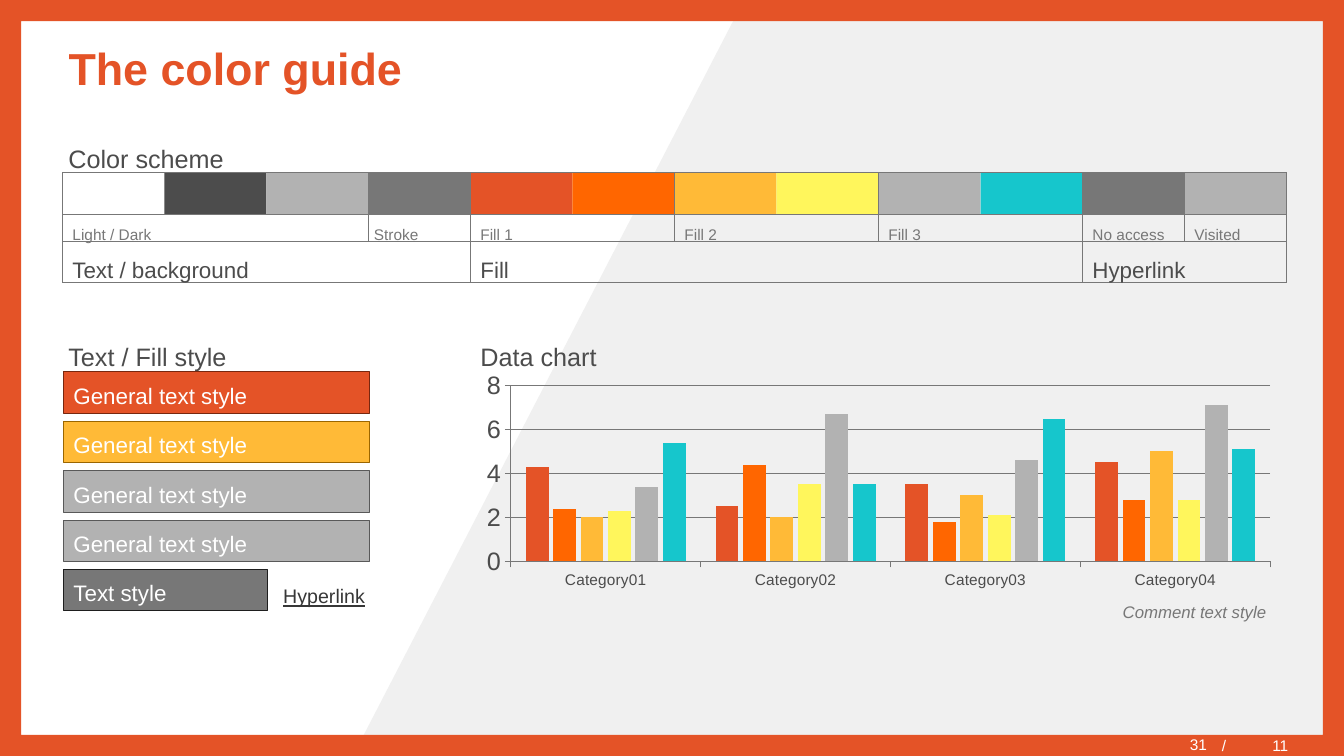
from dataclasses import dataclass

from lxml import etree
from pptx import Presentation
from pptx.chart.data import CategoryChartData
from pptx.dml.color import RGBColor
from pptx.enum.chart import XL_CHART_TYPE, XL_TICK_MARK
from pptx.enum.shapes import MSO_CONNECTOR, MSO_SHAPE
from pptx.enum.text import MSO_ANCHOR, MSO_AUTO_SIZE, PP_ALIGN
from pptx.oxml.ns import qn
from pptx.util import Inches, Pt

RECT, FRAME = MSO_SHAPE.RECTANGLE, MSO_SHAPE.FRAME
STRAIGHT = MSO_CONNECTOR.STRAIGHT
LEFT, RIGHT = PP_ALIGN.LEFT, PP_ALIGN.RIGHT
TOP, MIDDLE = MSO_ANCHOR.TOP, MSO_ANCHOR.MIDDLE
FIT_SHAPE = MSO_AUTO_SIZE.SHAPE_TO_FIT_TEXT
CLUSTERED = XL_CHART_TYPE.COLUMN_CLUSTERED
OUTSIDE = XL_TICK_MARK.OUTSIDE


@dataclass(frozen=True)
class Theme:
    font: str = "Arial"
    white: str = "FFFFFF"
    backdrop: str = "F0F0F0"
    dark: str = "4C4C4C"
    stroke: str = "777777"
    red: str = "E45327"
    orange: str = "FF6600"
    amber: str = "FFBA37"
    yellow: str = "FFF65C"
    grey: str = "B2B2B2"
    teal: str = "16C6CC"
    link: str = "373737"
    red_edge: str = "77270F"
    amber_edge: str = "9B6600"
    grey_edge: str = "595959"
    dark_edge: str = "1E1E1E"
    title: int = 32
    heading: int = 18
    body: int = 16
    link_size: int = 14
    comment: int = 12
    small: int = 11
    line: float = 0.75


theme = Theme()
WIDTH, HEIGHT = 13.33, 7.5


def paint(shape, fill, outline=None):
    shape.shadow.inherit = False
    shape.fill.solid()
    shape.fill.fore_color.rgb = RGBColor.from_string(fill)
    if outline:
        shape.line.color.rgb = RGBColor.from_string(outline)
        shape.line.width = Pt(theme.line)
    else:
        shape.line.fill.background()


def write(shape, text, size, color, align=LEFT, anchor=TOP, spacing=1.2):
    frame = shape.text_frame
    frame.text = text
    frame.vertical_anchor = anchor
    paragraph = frame.paragraphs[0]
    paragraph.alignment = align
    paragraph.line_spacing = spacing
    paragraph.font.name = theme.font
    paragraph.font.size = Pt(size)
    paragraph.font.color.rgb = RGBColor.from_string(color)
    return paragraph


prs = Presentation()
prs.slide_width, prs.slide_height = Inches(WIDTH), Inches(HEIGHT)
slide = prs.slides.add_slide(prs.slide_layouts[5])
shapes = slide.shapes

# Title
title = shapes.title
title.left, title.top, title.width, title.height = map(Inches, (0.58, 0.28, 12.18, 0.79))
write(title, "The color guide", theme.title, theme.red, anchor=MIDDLE, spacing=1.0).font.bold = True

# Slanted backdrop and frame, behind the title
outline = shapes.build_freeform(Inches(7.38), 0)
outline.add_line_segments([(Inches(x), Inches(y)) for x, y in
                           ((WIDTH, 0), (WIDTH, HEIGHT), (3.5, HEIGHT))])
backdrop = outline.convert_to_shape()
paint(backdrop, theme.backdrop)
border = shapes.add_shape(FRAME, 0, 0, prs.slide_width, prs.slide_height)
border.adjustments[0] = 0.028
paint(border, theme.red)
title.element.addprevious(backdrop.element)
title.element.addprevious(border.element)

# Page number and page count
page = shapes.add_textbox(Inches(9.48), Inches(7.32), Inches(2.59), Inches(0.18))
page.text_frame.word_wrap = True
page.text_frame.margin_top = 0
write(page, "31", theme.small, theme.white, RIGHT, MIDDLE, 1.0)
count = shapes.add_textbox(Inches(12.02), Inches(7.3), Inches(1.31), Inches(0.18))
count.text_frame.word_wrap = True
count_line = count.text_frame.paragraphs[0]
count_line.line_spacing = 1.0
tabs = etree.SubElement(count_line._p.get_or_add_pPr(), qn("a:tabLst"))
etree.SubElement(tabs, qn("a:tab"), pos=str(Inches(0.21)), algn="l")
write(count, "/\t11", theme.small, theme.white, anchor=MIDDLE, spacing=1.0)

# Color scheme: twelve swatches on an even grid
GRID_LEFT, GRID_RIGHT = 0.62, 12.76
SWATCH_TOP, SWATCH_BOTTOM, ROLE_BOTTOM, GROUP_BOTTOM = 1.71, 2.13, 2.4, 2.8
swatches = [theme.white, theme.dark, theme.grey, theme.stroke, theme.red, theme.orange,
            theme.amber, theme.yellow, theme.grey, theme.teal, theme.stroke, theme.grey]
column = (GRID_RIGHT - GRID_LEFT) / len(swatches)
edges = [GRID_LEFT + i * column for i in range(len(swatches) + 1)]
for edge, color in zip(edges, swatches):
    swatch = shapes.add_shape(RECT, Inches(edge), Inches(SWATCH_TOP),
                              Inches(column), Inches(SWATCH_BOTTOM - SWATCH_TOP))
    paint(swatch, color)

# Rules of the scheme: full rows, group edges, role edges
rules = [(GRID_LEFT, y, GRID_RIGHT, y)
         for y in (SWATCH_TOP, SWATCH_BOTTOM, ROLE_BOTTOM, GROUP_BOTTOM)]
rules += [(edges[i], SWATCH_TOP, edges[i], GROUP_BOTTOM) for i in (0, 4, 10, 12)]
rules += [(edges[i], SWATCH_TOP, edges[i], ROLE_BOTTOM) for i in (3, 6, 8, 11)]
for ends in rules:
    rule = shapes.add_connector(STRAIGHT, *map(Inches, ends))
    rule.line.color.rgb = RGBColor.from_string(theme.stroke)
    rule.line.width = Pt(theme.line)
    etree.SubElement(rule.element.spPr, qn("a:effectLst"))

# Headings, role names and group names: text, left, top, width, height, size, color
labels = [("Color scheme", 0.58, 1.31, 1.76, 0.43, theme.heading, theme.dark),
          ("Text / Fill style", 0.58, 3.28, 1.79, 0.43, theme.heading, theme.dark),
          ("Data chart", edges[4], 3.28, 1.37, 0.43, theme.heading, theme.dark)]
labels += [(text, edges[i], 2.15, width, 0.32, theme.small, theme.stroke)
           for text, i, width in (("Light / Dark", 0, 0.99), ("Fill 1", 4, 0.53),
                                  ("Fill 2", 6, 0.53), ("Fill 3", 8, 0.53),
                                  ("No access", 10, 0.92), ("Visited", 11, 0.66))]
labels += [("Stroke", 3.61, 2.15, 0.65, 0.32, theme.small, theme.stroke)]
labels += [(text, edges[i], 2.44, width, 0.39, theme.body, theme.dark)
           for text, i, width in (("Text / background", 0, 1.97), ("Fill", 4, 0.49),
                                  ("Hyperlink", 10, 1.13))]
labels += [("Comment text style", 11.02, 5.88, 1.64, 0.32, theme.comment, theme.stroke),
           ("Hyperlink", 2.71, 5.7, 1.02, 0.36, theme.link_size, theme.link)]
for text, left, top, width, height, size, color in labels:
    label = shapes.add_textbox(*map(Inches, (left, top, width, height)))
    label.text_frame.word_wrap = False
    label.text_frame.auto_size = FIT_SHAPE
    label_line = write(label, text, size, color)
    if size == theme.comment:
        label_line.alignment = RIGHT
        label_line.font.italic = True
    elif size == theme.link_size:
        label_line.font.underline = True

# Text and fill styles
styles = [("General text style", theme.red, theme.red_edge, 3),
          ("General text style", theme.amber, theme.amber_edge, 3),
          ("General text style", theme.grey, theme.grey_edge, 3),
          ("General text style", theme.grey, theme.grey_edge, 3),
          ("Text style", theme.stroke, theme.dark_edge, 2)]
for row, (text, fill, edge_color, columns) in enumerate(styles):
    style = shapes.add_shape(RECT, Inches(0.63), Inches(3.69 + row * 0.49),
                             Inches(columns * column), Inches(0.41))
    paint(style, fill, edge_color)
    write(style, text, theme.body, theme.white, anchor=MIDDLE)

# Data chart
series_values = [(4.3, 2.5, 3.5, 4.5), (2.4, 4.4, 1.8, 2.8), (2, 2, 3, 5),
                 (2.3, 3.5, 2.1, 2.8), (3.4, 6.7, 4.6, 7.1), (5.4, 3.5, 6.5, 5.1)]
data = CategoryChartData()
data.categories = [f"Category{n:02}" for n in range(1, 5)]
for n, values in enumerate(series_values, 1):
    data.add_series(f"Series {n}", values)
chart = shapes.add_chart(CLUSTERED, Inches(edges[4]), Inches(3.64),
                         Inches(8 * column), Inches(2.25), data).chart
chart.has_legend = chart.has_title = False
chart.font.name = theme.font
chart.font.size = Pt(theme.heading)
chart.font.color.rgb = RGBColor.from_string(theme.dark)
plot = chart.plots[0]
plot.gap_width, plot.overlap, plot.vary_by_categories = 130, -20, False
for series, color in zip(plot.series, swatches[4:10]):
    series.format.fill.solid()
    series.format.fill.fore_color.rgb = RGBColor.from_string(color)
categories, scale = chart.category_axis, chart.value_axis
categories.tick_labels.font.size = Pt(theme.small)
scale.minimum_scale, scale.maximum_scale, scale.major_unit = 0, 8, 2
for axis in (categories, scale):
    axis.major_tick_mark = OUTSIDE
for part in (categories, scale, scale.major_gridlines):
    part.format.line.color.rgb = RGBColor.from_string(theme.stroke)
    part.format.line.width = Pt(theme.line)

prs.save("out.pptx")
